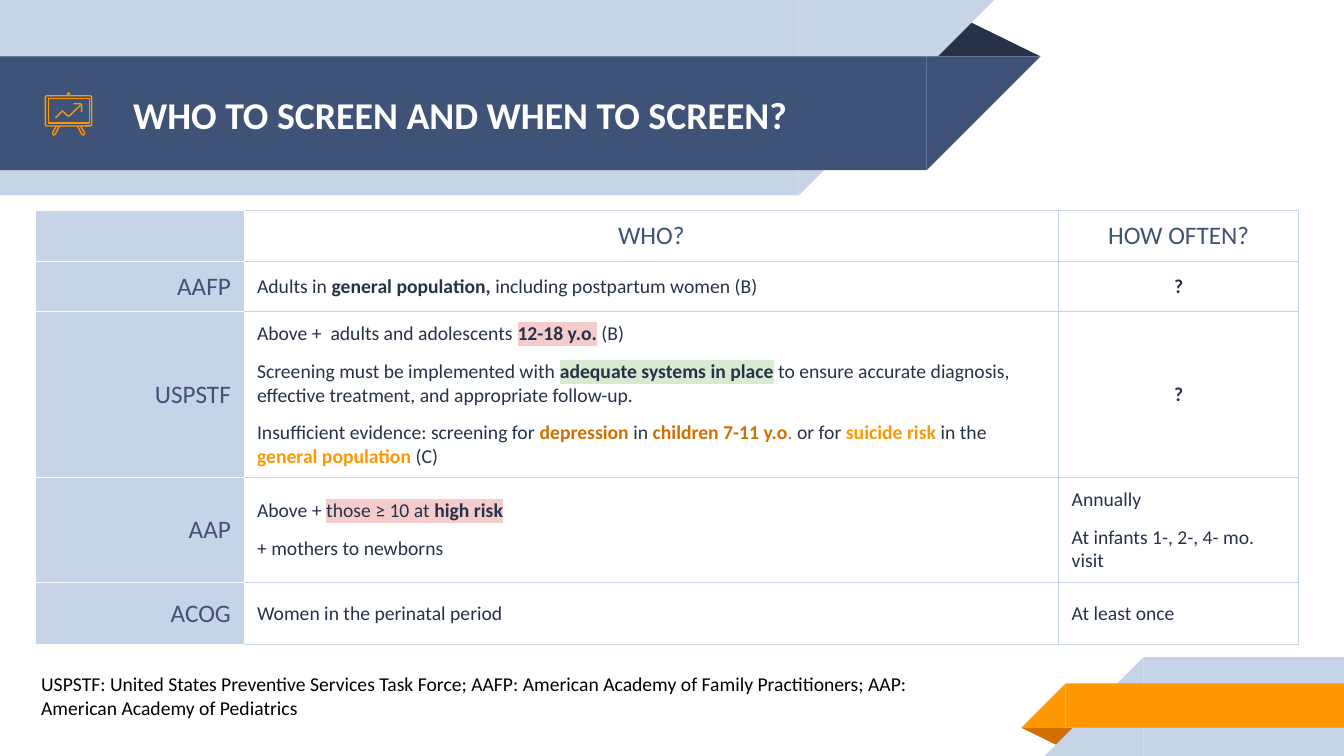
from dataclasses import dataclass

from lxml.etree import SubElement
from pptx import Presentation
from pptx.dml.color import RGBColor
from pptx.enum.shapes import MSO_SHAPE
from pptx.enum.text import MSO_ANCHOR, PP_ALIGN
from pptx.oxml.ns import qn
from pptx.util import Pt

PX = 9144


@dataclass(frozen=True)
class Theme:
    face: str = "Calibri"
    white: str = "FFFFFF"
    black: str = "000000"
    pale: str = "C7D3E6"
    blue: str = "3F5378"
    navy: str = "263248"
    gold: str = "FF9800"
    rust: str = "D26F00"
    pink: str = "F4CCCC"
    mint: str = "D9EAD3"
    title: int = 27
    head: int = 18
    body: int = 14
    gap: int = 10
    edge: float = 0.75
    stroke: float = 0.96


T = Theme()
HEAD = {"size": T.head, "tint": T.blue}
BODY = {"size": T.body, "tint": T.navy}
BOLD = {"bold": True}
RUST = {"bold": True, "tint": T.rust}
GOLD = {"bold": True, "tint": T.gold}
PINK = {"mark": T.pink}
MINT = {"bold": True, "mark": T.mint}

WIDTHS = [207, 808, 238]
HEIGHTS = [47, 46, 164, 88, 62]
WHO = [
    [[("WHO?", HEAD)]],
    [["Adults in ", ("general population,", BOLD), " including postpartum women (B)"]],
    [
        ["Above +  adults and adolescents ", ("12-18 y.o.", BOLD | PINK), " (B)"],
        ["Screening must be implemented with ", ("adequate systems in place", MINT),
         " to ensure accurate diagnosis, effective treatment, and appropriate follow-up."],
        ["Insufficient evidence: screening for ", ("depression ", RUST), "in ",
         ("children 7-11 y.o", RUST), (".", {"tint": T.rust}), " or for ",
         ("suicide risk ", GOLD), "in the ", ("general population", GOLD), " (C)"],
    ],
    [["Above + ", ("those ≥ 10 at ", PINK), ("high risk", BOLD | PINK)],
     ["+ mothers to newborns"]],
    [["Women in the perinatal period"]],
]
OFTEN = [
    [[("HOW OFTEN?", HEAD)]],
    [[("?", BOLD)]],
    [[("?", BOLD)]],
    [["Annually"], ["At infants 1-, 2-, 4- mo. visit"]],
    [["At least once"]],
]
NAMES = ["", "AAFP", "USPSTF", "AAP", "ACOG"]


def put(item, vals):
    for key, val in vals.items():
        setattr(item, key, val)


def place(box):
    return [n * PX for n in box]


def paint(fill, tint):
    fill.solid()
    fill.fore_color.rgb = RGBColor.from_string(tint)


def inset(side, top):
    return {"margin_left": side * PX, "margin_right": side * PX,
            "margin_top": top * PX, "margin_bottom": top * PX}


def add_run(para, text, size, tint, bold=False, mark=None):
    run = para.add_run()
    run.text = text
    paint(run.font.fill, tint)
    if mark:
        high = SubElement(run.font._element, qn("a:highlight"))
        SubElement(high, qn("a:srgbClr"), val=mark)
    put(run.font, {"size": Pt(size), "bold": bold, "name": T.face})


def write(frame, paras, base, align=PP_ALIGN.LEFT):
    for i, parts in enumerate(paras):
        para = frame.add_paragraph() if i else frame.paragraphs[0]
        form = {"alignment": align}
        if i:
            form["space_before"] = Pt(T.gap)
            if i == len(paras) - 1:
                form["space_after"] = Pt(T.gap)
        put(para, form)
        for part in parts:
            text, style = (part, {}) if isinstance(part, str) else part
            add_run(para, text, **(base | style))


def add_text(slide, box, text, base, pad, anchor):
    frame = slide.shapes.add_textbox(*place(box)).text_frame
    put(frame, {"word_wrap": True, "vertical_anchor": anchor} | inset(pad, pad))
    write(frame, [[text]], base)


def add_block(slide, kind, box, tint, turn=0):
    shape = slide.shapes.add_shape(kind, *place(box))
    shape.shadow.inherit = False
    shape.rotation = turn
    paint(shape.fill, tint)
    shape.line.fill.background()
    return shape


def add_fold(slide, box, tint, turn=0):
    add_block(slide, MSO_SHAPE.ISOSCELES_TRIANGLE, box, tint, turn).adjustments[0] = 0.32


def add_band(slide, box, tint, right):
    left, top, wide, high = box
    tip = left + wide if right else left - high
    add_block(slide, MSO_SHAPE.RECTANGLE, box, tint)
    add_block(slide, MSO_SHAPE.RIGHT_TRIANGLE, (tip, top, high, high), tint,
              90 if right else 270)


def trace(shape):
    shape.shadow.inherit = False
    shape.fill.background()
    paint(shape.line.fill, T.gold)
    shape.line.width = Pt(T.stroke)


def add_path(slide, points):
    pen = slide.shapes.build_freeform(*points[0], scale=PX)
    pen.add_line_segments(points[1:], close=False)
    trace(pen.convert_to_shape())


def add_icon(slide):
    board = slide.shapes.add_shape(MSO_SHAPE.ROUNDED_RECTANGLE, *place((45, 95, 46, 30)))
    board.adjustments[0] = 0.05
    trace(board)
    trace(slide.shapes.add_shape(MSO_SHAPE.RECTANGLE, *place((48, 98, 41, 24))))
    knob = [(69, 95), (69, 93), (68, 92), (67, 93), (67, 95)]
    leg = [(56, 125), (52, 132), (53, 134), (55, 133), (59, 125)]
    twin = [(136 - x, y) for x, y in leg]
    trend = [(80, 104), (69, 115), (67, 115), (62, 110), (55, 117)]
    arrow = [(73, 103), (80, 103), (81, 104), (81, 111)]
    for points in (knob, leg, twin, trend, arrow):
        add_path(slide, points)


def set_edge(cell, tints):
    props = cell._tc.get_or_add_tcPr()
    for i, (side, tint) in enumerate(zip("LRTB", tints)):
        line = SubElement(props, qn(f"a:ln{side}"), w=str(Pt(T.edge)))
        fill = SubElement(line, qn("a:solidFill"))
        SubElement(fill, qn("a:srgbClr"), val=tint)
        props.remove(line)
        props.insert(i, line)


def fill_cell(cell, paras, base, align, col):
    put(cell, {"vertical_anchor": MSO_ANCHOR.MIDDLE} | inset(13, 10))
    write(cell.text_frame, paras, base, align)
    if col:
        cell.fill.background()
    else:
        paint(cell.fill, T.pale)
    rest = T.pale if col else T.white
    set_edge(cell, [rest if col == 2 else T.white, rest, rest, rest])
    if col == 0:
        return


def add_grid(slide):
    box = (35, 209, sum(WIDTHS), sum(HEIGHTS))
    grid = slide.shapes.add_table(len(HEIGHTS), len(WIDTHS), *place(box)).table
    put(grid, {"first_row": False, "horz_banding": False})
    for col, wide in zip(grid.columns, WIDTHS):
        col.width = wide * PX
    for row, high in zip(grid.rows, HEIGHTS):
        row.height = high * PX
    for r, (name, who, often) in enumerate(zip(NAMES, WHO, OFTEN)):
        mid, left = PP_ALIGN.CENTER, PP_ALIGN.LEFT
        label = [[name]] if name else []
        fill_cell(grid.cell(r, 0), label, HEAD, PP_ALIGN.RIGHT, 0)
        fill_cell(grid.cell(r, 1), who, BODY, left if r else mid, 1)
        fill_cell(grid.cell(r, 2), often, BODY, mid if r < 3 else left, 2)


def main():
    deck = Presentation()
    put(deck, {"slide_width": 1333 * PX, "slide_height": 750 * PX})
    slide = deck.slides.add_slide(deck.slide_layouts[6])
    add_fold(slide, (918, 18, 114, 38), T.navy)
    add_band(slide, (0, 0, 792, 194), T.pale, True)
    add_band(slide, (0, 56, 919, 113), T.blue, True)
    add_fold(slide, (1013, 722, 57, 19), T.rust, 180)
    add_band(slide, (1134, 652, 199, 98), T.pale, False)
    add_band(slide, (1057, 678, 276, 44), T.gold, False)
    add_text(slide, (119, 57, 767, 112), "WHO TO SCREEN AND WHEN TO SCREEN?",
             {"size": T.title, "tint": T.white, "bold": True}, 13, MSO_ANCHOR.MIDDLE)
    add_grid(slide)
    add_icon(slide)
    add_text(slide, (31, 657, 941, 93),
             "USPSTF: United States Preventive Services Task Force; AAFP: American Academy "
             "of Family Practitioners; AAP: American Academy of Pediatrics",
             {"size": T.body, "tint": T.black}, 10, MSO_ANCHOR.TOP)
    deck.save("out.pptx")


if __name__ == "__main__":
    main()
